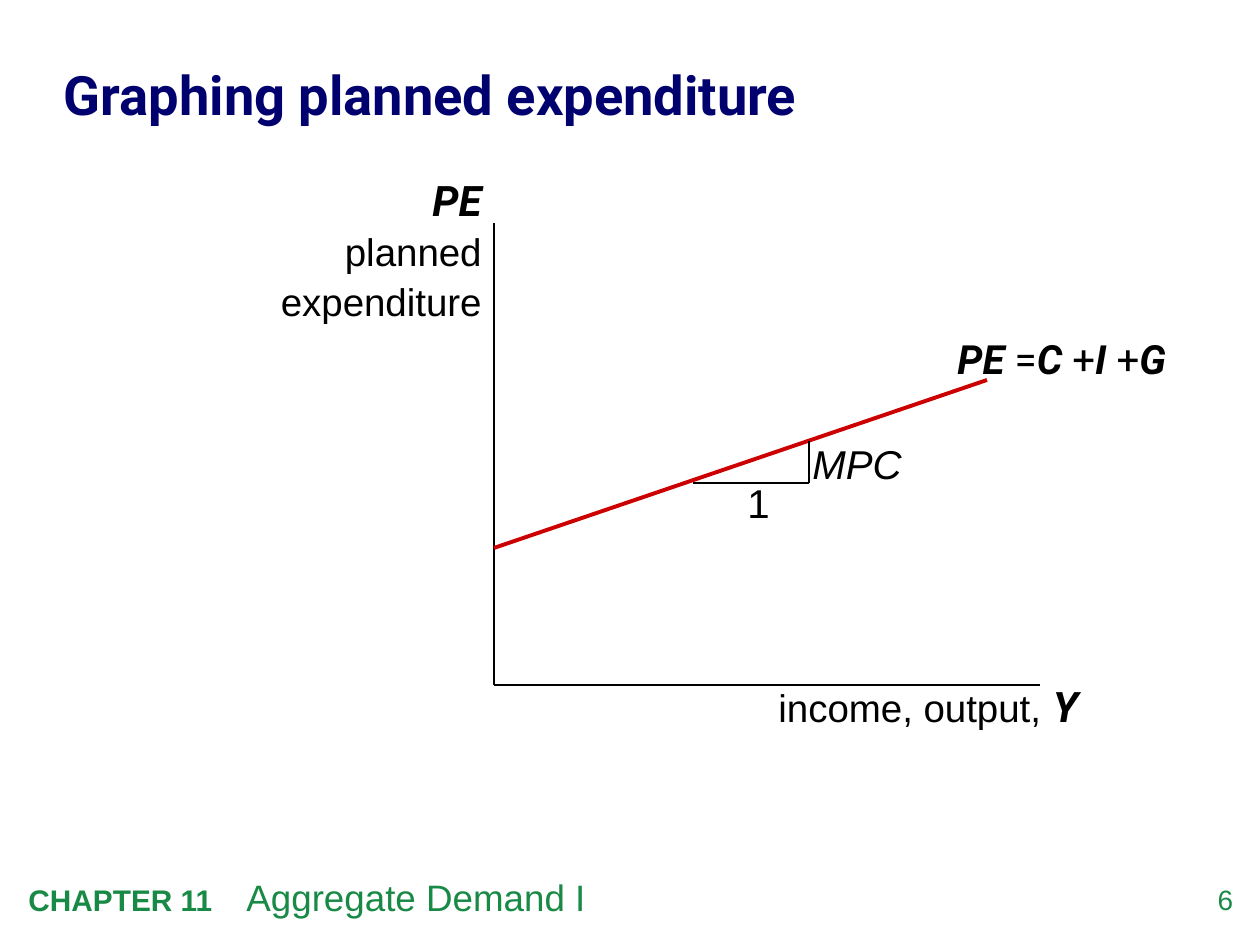
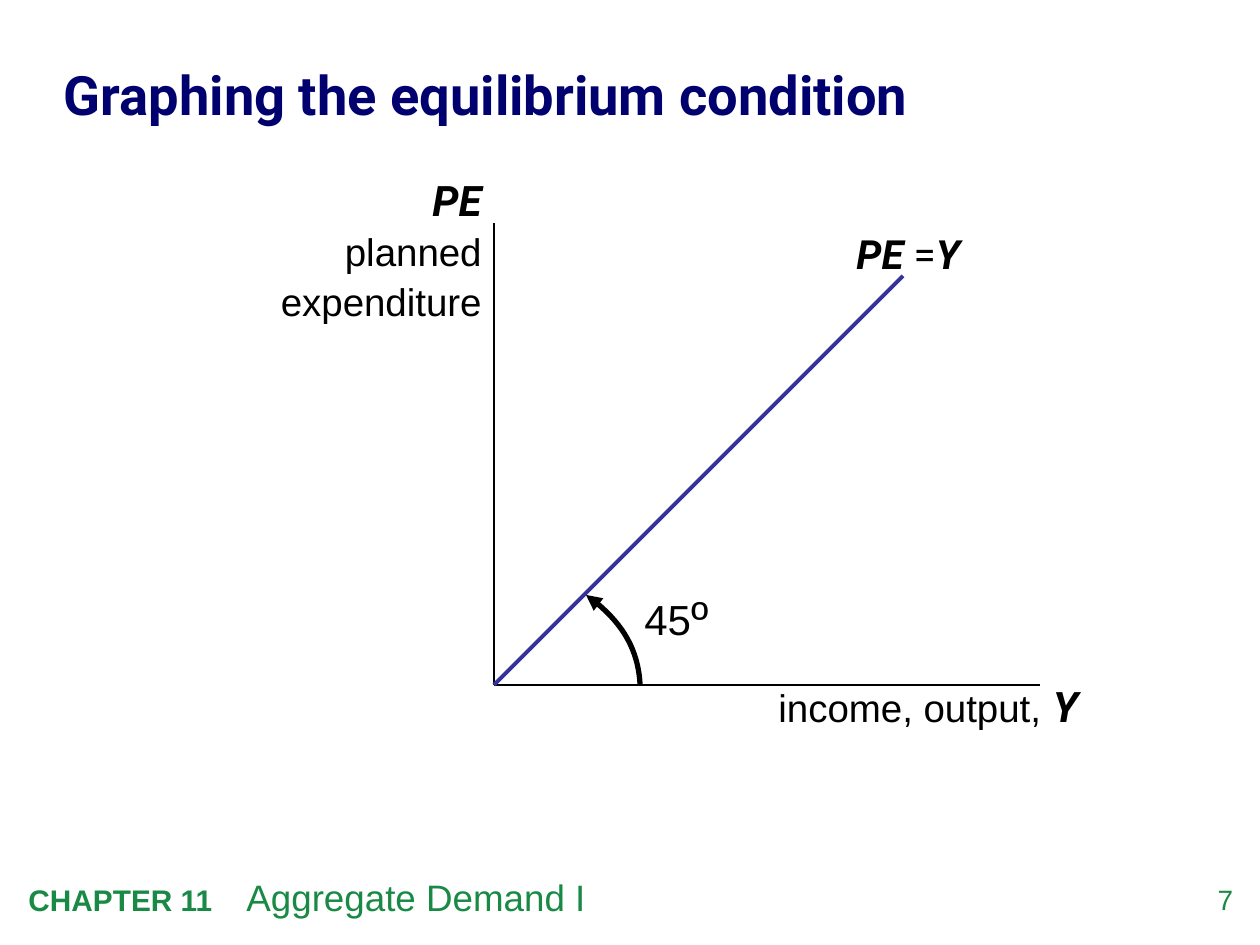
from lxml.etree import SubElement
from pptx import Presentation
from pptx.dml.color import RGBColor
from pptx.enum.shapes import MSO_CONNECTOR
from pptx.enum.text import MSO_ANCHOR, PP_ALIGN
from pptx.oxml.ns import qn
from pptx.util import Pt

PX = 914400 / 126
WIDTH, HEIGHT = 1260, 945
COLORS = {
    "title": "00006E",
    "footer": "198A46",
    "ink": "000000",
    "expenditure": "CC0000",
    "equilibrium": "333399",
}
ORIGIN_X, ORIGIN_Y = 494, 685
AXIS_TOP, AXIS_RIGHT = 223, 1040

# Run formats
SYMBOL = {"font": "Roboto", "bold": True, "italic": True}
OPERATOR = {"font": "Roboto"}


def px(n):
    return round(n * PX)


def rgb(name):
    return RGBColor.from_string(COLORS[name])


def add_text(slide, box, paragraphs, size=23, font="Arial", color="ink",
             align=PP_ALIGN.LEFT, anchor=MSO_ANCHOR.TOP, inset=True,
             spacing=None, before=0, tab=None):
    """Each paragraph is a list of (text, format) runs."""
    tf = slide.shapes.add_textbox(*map(px, box)).text_frame
    tf.word_wrap = True
    tf.vertical_anchor = anchor
    if not inset:
        tf.margin_left = tf.margin_top = tf.margin_right = tf.margin_bottom = 0
    for i, runs in enumerate(paragraphs):
        p = tf.paragraphs[0] if i == 0 else tf.add_paragraph()
        p.alignment = align
        if spacing:
            p.line_spacing = spacing
        if i and before:
            p.space_before = Pt(before)
        if tab:
            tabs = SubElement(p._p.get_or_add_pPr(), qn("a:tabLst"))
            SubElement(tabs, qn("a:tab"), pos=str(px(tab)), algn="l")
        for text, fmt in runs:
            r = p.add_run()
            r.text = text
            r.font.name = fmt.get("font", font)
            r.font.size = Pt(fmt.get("size", size))
            r.font.bold = fmt.get("bold", False)
            r.font.italic = fmt.get("italic", False)
            r.font.color.rgb = rgb(color)


def add_line(slide, start, end, color="ink", width=1.0):
    line = slide.shapes.add_connector(
        MSO_CONNECTOR.STRAIGHT, *map(px, start + end))
    line.line.color.rgb = rgb(color)
    line.line.width = Pt(width)
    SubElement(line._element.spPr, qn("a:effectLst"))


def add_curved_arrow(slide, tip, control1, control2, tail, width):
    """Cubic curve with its arrowhead at the tip."""
    builder = slide.shapes.build_freeform(*tip, scale=PX)
    builder.add_line_segments([control1, control2, tail], close=False)
    sp = builder.convert_to_shape()
    sp.shadow.inherit = False
    sp.fill.background()
    sp.line.color.rgb = rgb("ink")
    sp.line.width = Pt(width)
    SubElement(sp.line._get_or_add_ln(), qn("a:headEnd"), type="triangle")
    # Turn the three straight segments into one Bézier segment
    outline = sp._element.find(".//" + qn("a:path"))
    curve = SubElement(outline, qn("a:cubicBezTo"))
    for segment in outline.findall(qn("a:lnTo")):
        curve.append(segment[0])
        outline.remove(segment)


def add_frame(prs, title, number):
    """Blank slide with footer, page number and title."""
    slide = prs.slides.add_slide(prs.slide_layouts[6])
    add_text(slide, (1164, 883, 69, 40), [[(str(number), {})]], size=16,
             color="footer", align=PP_ALIGN.RIGHT, inset=False)
    add_text(slide, (16, 869, 1031, 57),
             [[("CHAPTER 11\t", {"size": 17, "bold": True}),
               ("Aggregate Demand I", {})]],
             size=21, color="footer", tab=218)
    add_text(slide, (64, 33, 1137, 130), [[(title, {"bold": True})]], size=31,
             font="Roboto", color="title", anchor=MSO_ANCHOR.MIDDLE,
             inset=False, spacing=0.9)
    return slide


def add_axes(slide):
    origin = (ORIGIN_X, ORIGIN_Y)
    add_line(slide, (ORIGIN_X, AXIS_TOP), origin)
    add_line(slide, origin, (AXIS_RIGHT, ORIGIN_Y))
    add_text(slide, (766, 674, 357, 63),
             [[("income, output,", {"size": 22}), (" ", {}), ("Y", SYMBOL)]],
             size=24)
    add_text(slide, (ORIGIN_X - 281, 168, 281, 161),
             [[("PE", {**SYMBOL, "size": 24})],
              [("planned", {})], [("expenditure", {})]],
             size=22, align=PP_ALIGN.RIGHT, before=2)


def planned_expenditure(prs):
    slide = add_frame(prs, "Graphing planned expenditure", 6)
    add_axes(slide)
    # Expenditure line
    add_text(slide, (945, 328, 284, 60),
             [[("PE", SYMBOL), (" =", OPERATOR), ("C ", SYMBOL),
               ("+", OPERATOR), ("I ", SYMBOL), ("+", OPERATOR),
               ("G", SYMBOL)]])
    add_line(slide, (ORIGIN_X, 548), (987, 380), "expenditure", 2.25)
    # Slope triangle
    corner = (809, 483)
    add_line(slide, (693, 483), corner, width=0.75)
    add_line(slide, corner, (809, 441), width=0.75)
    add_text(slide, (800, 433, 126, 60), [[("MPC", {"italic": True})]])
    add_text(slide, (735, 472, 53, 60), [[("1", {})]])


def equilibrium_condition(prs):
    slide = add_frame(prs, "Graphing the equilibrium condition", 7)
    add_axes(slide)
    # Equilibrium line
    add_line(slide, (ORIGIN_X, ORIGIN_Y), (903, 276), "equilibrium", 2.25)
    add_text(slide, (844, 223, 155, 62),
             [[("PE", SYMBOL), (" =", OPERATOR), ("Y", SYMBOL)]])
    # Angle
    add_curved_arrow(slide, (586, 595), (617, 616), (638, 649), (640, 684), 3)
    add_text(slide, (632, 582, 95, 69),
             [[("45", {}), ("º", {"size": 27})]], size=24)


def main():
    prs = Presentation()
    prs.slide_width, prs.slide_height = px(WIDTH), px(HEIGHT)
    planned_expenditure(prs)
    equilibrium_condition(prs)
    prs.save("out.pptx")


if __name__ == "__main__":
    main()
